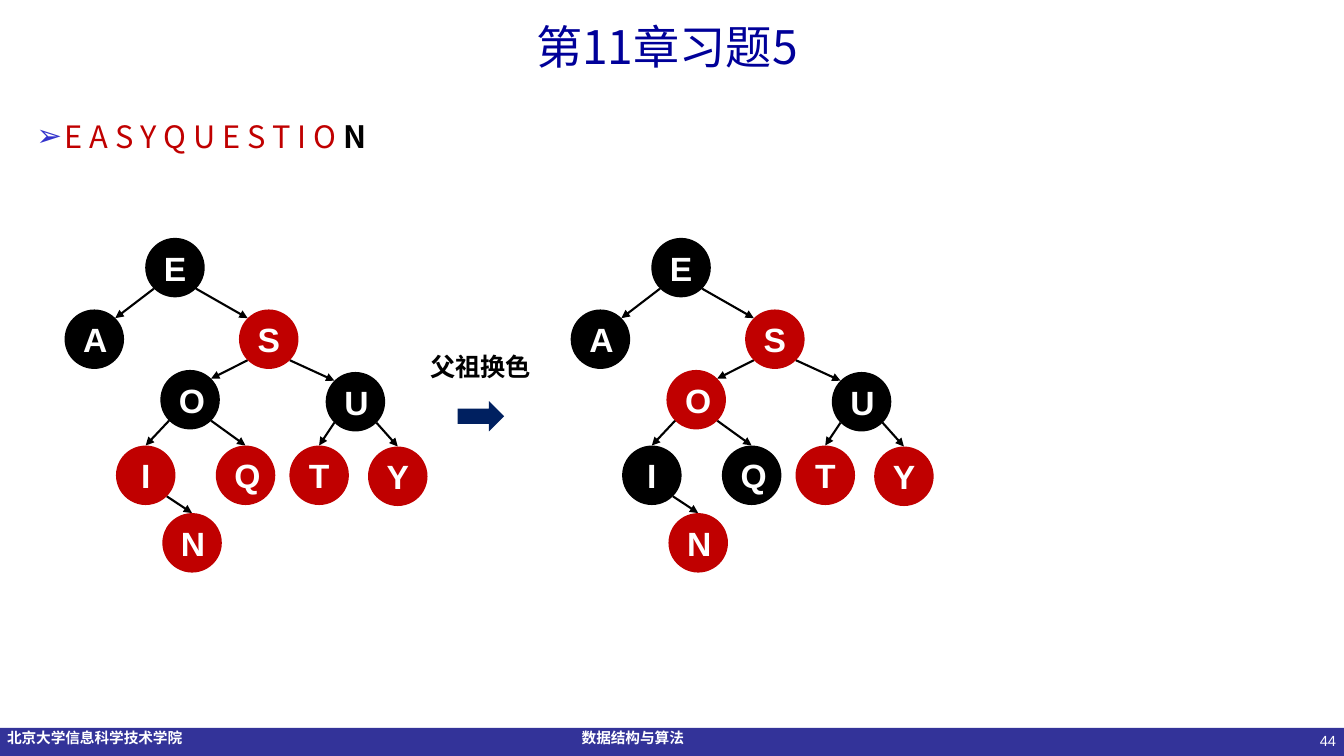
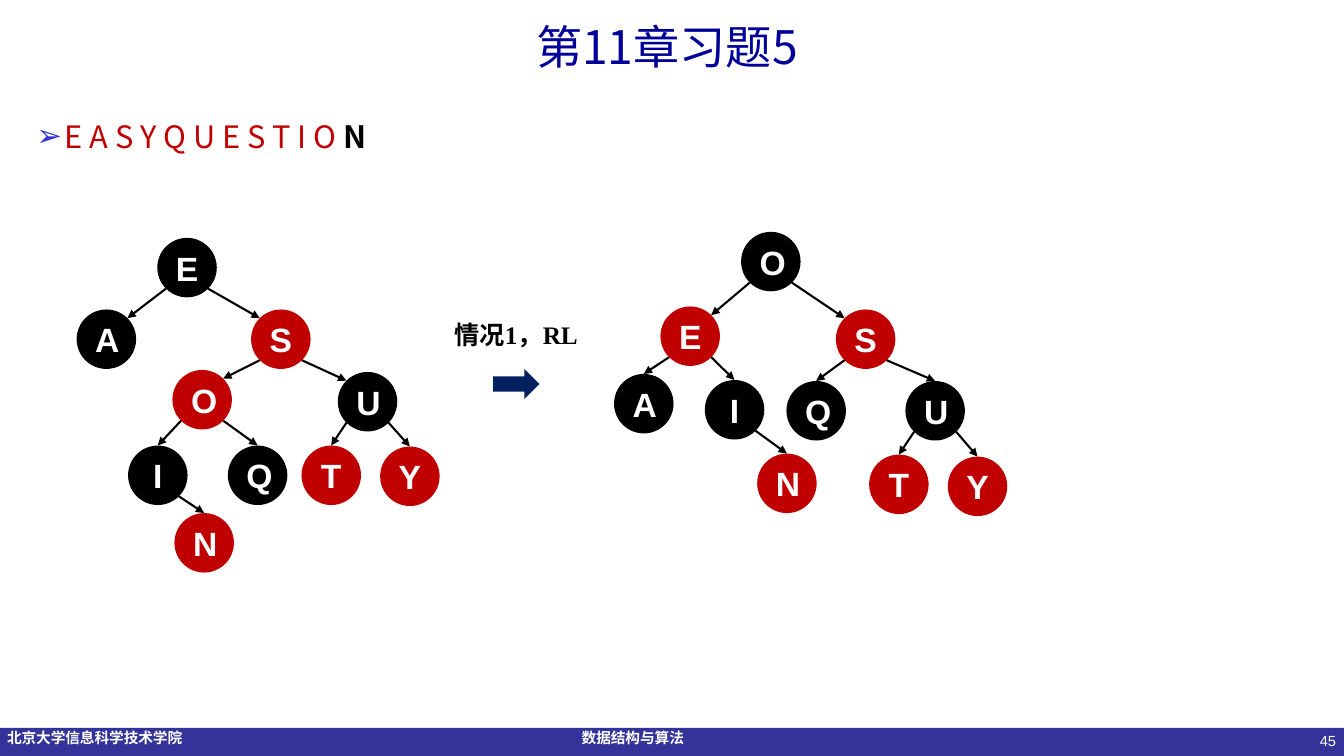
from dataclasses import dataclass
from math import sqrt

from pptx import Presentation
from pptx.dml.color import RGBColor
from pptx.enum.shapes import MSO_CONNECTOR, MSO_SHAPE
from pptx.enum.text import MSO_ANCHOR, MSO_AUTO_SIZE, PP_ALIGN
from pptx.oxml.ns import qn
from pptx.oxml.xmlchemy import OxmlElement
from pptx.util import Inches, Pt


@dataclass(frozen=True)
class Theme:
    # Colours
    title: str = "000099"
    band: str = "333399"
    bullet: str = "3333CC"
    red: str = "C00000"
    black: str = "000000"
    white: str = "FFFFFF"
    arrow: str = "002060"
    # Fonts
    sans: str = "Arial"
    serif: str = "Times New Roman"
    cjk: str = "Noto Sans CJK SC"
    # Type sizes
    head: float = 33
    list: float = 22
    node: float = 24
    label: float = 18
    foot: float = 10.5


THEME = Theme()
WIDE, HIGH = 13.33, 7.5
NODE = 0.59

# Trees: node places relative to the tree's box, then edges by parent and child.
# Corner edges end at the child's upper side, top edges at its highest point.
DEEP = dict(
    spots=dict(E=(0.8, 0), A=(0, 0.71), S=(1.73, 0.71), O=(0.95, 1.31),
               U=(2.59, 1.33), I=(0.51, 2.06), Q=(1.5, 2.06),
               T=(2.23, 2.06), Y=(3.01, 2.07), N=(0.97, 2.73)),
    corner="EA ES SO SU", top="OI OQ UT UY IN")
FLAT = dict(
    spots=dict(O=(1.26, 0), E=(0.46, 0.74), S=(2.2, 0.77), A=(0, 1.41),
               I=(0.9, 1.47), Q=(1.71, 1.48), U=(2.89, 1.48),
               N=(1.42, 2.2), T=(2.53, 2.21), Y=(3.31, 2.23)),
    corner="OE OS", top="EA EI SQ SU IN UT UY")


def rgb(code):
    return RGBColor.from_string(code)


def write(frame, text, size, color, font=THEME.sans, bold=False, align=None):
    """Add a run to the first paragraph of a text frame."""
    par = frame.paragraphs[0]
    if align is not None:
        par.alignment = align
    run = par.add_run()
    run.text = text
    run.font.size, run.font.bold, run.font.name = Pt(size), bold, font
    run.font.color.rgb = rgb(color)
    east = OxmlElement("a:ea")
    east.set("typeface", THEME.cjk)
    run.font._element.find(qn("a:latin")).addnext(east)


def place(shape, left, top, width, height):
    shape.left, shape.top = Inches(left), Inches(top)
    shape.width, shape.height = Inches(width), Inches(height)


def note(slide, text, box, wrap=True, inset=0.1, **style):
    shape = slide.shapes.add_textbox(*map(Inches, box))
    shape.text_frame.word_wrap = wrap
    shape.text_frame.margin_left = Inches(inset)
    write(shape.text_frame, text, **style)
    return shape


def solid(slide, kind, box, color):
    shape = slide.shapes.add_shape(kind, *map(Inches, box))
    shape.shadow.inherit = False
    shape.fill.solid()
    shape.fill.fore_color.rgb = rgb(color)
    shape.line.fill.background()
    return shape


def link(slide, start, end):
    line = slide.shapes.add_connector(
        MSO_CONNECTOR.STRAIGHT, *map(Inches, start + end))
    line.line.color.rgb = rgb(THEME.black)
    line.line.width = Pt(1.5)
    props = line._element.spPr
    tail = OxmlElement("a:tailEnd")
    tail.set("type", "triangle")
    props.find(qn("a:ln")).append(tail)
    props.append(OxmlElement("a:effectLst"))


def tree(slide, left, top, plan, reds):
    """Draw a red-black tree with its box's upper left corner at left, top."""
    half = NODE / 2
    slant = half / sqrt(2)
    mids = {key: (left + x + half, top + y + half)
            for key, (x, y) in plan["spots"].items()}
    # Edges
    for kind in ("corner", "top"):
        for head, kid in plan[kind].split():
            (px, py), (kx, ky) = mids[head], mids[kid]
            side = slant if kx > px else -slant
            end = (kx - side, ky - slant) if kind == "corner" else (kx, ky - half)
            link(slide, (px + side, py + slant), end)
    # Nodes
    for key, (x, y) in mids.items():
        color = THEME.red if key in reds else THEME.black
        disc = solid(slide, MSO_SHAPE.OVAL, (x - half, y - half, NODE, NODE), color)
        disc.text_frame.vertical_anchor = MSO_ANCHOR.MIDDLE
        write(disc.text_frame, key, size=THEME.node, color=THEME.white,
              bold=True, align=PP_ALIGN.CENTER)


def step(slide, text, box, arrow):
    """Label the change between two trees and point to the result."""
    solid(slide, MSO_SHAPE.RIGHT_ARROW, (*arrow, 0.46, 0.3), THEME.arrow)
    note(slide, text, box, size=THEME.label, color=THEME.black,
         font=THEME.serif, bold=True)


def setup(deck):
    """Put the shared places and the bottom band on the layout."""
    layout = deck.slide_layouts[1]
    place(layout.placeholders[0], 0, 0, WIDE, 0.91)
    place(layout.placeholders[1], 0.26, 0.99, 12.81, 0.6)
    draft = deck.slides.add_slide(layout)
    style = dict(size=THEME.foot, color=THEME.white, bold=True, wrap=False, inset=0)
    parts = [
        solid(draft, MSO_SHAPE.RECTANGLE, (0, 7.22, WIDE, 0.28), THEME.band),
        note(draft, "北京大学信息科学技术学院", (0.07, 7.18, 1.87, 0.28), **style),
        note(draft, "数据结构与算法", (5.77, 7.18, 1.13, 0.28), **style),
    ]
    for part in parts:
        layout.shapes._spTree.append(part._element)
    # The draft becomes the first slide
    return layout, draft


def frame(slide, page):
    """Fill in title, key list and page number."""
    title = slide.shapes.title.text_frame
    title.auto_size = MSO_AUTO_SIZE.NONE
    title.vertical_anchor = MSO_ANCHOR.MIDDLE
    title.margin_left, title.margin_right = Inches(0.2), Inches(0.3)
    write(title, "第11章习题5", size=THEME.head, color=THEME.title,
          font=THEME.cjk, align=PP_ALIGN.CENTER)

    # Keys inserted so far, the newest in bold
    body = slide.placeholders[1].text_frame
    body.auto_size = MSO_AUTO_SIZE.NONE
    style = dict(size=THEME.list, font=THEME.cjk)
    write(body, "E A S Y Q U E S T I O ", color=THEME.red,
          align=PP_ALIGN.LEFT, **style)
    write(body, "N", color=THEME.black, bold=True, **style)
    par = body.paragraphs[0]
    par.line_spacing, par.space_before = 1.35, Pt(4.4)
    props = par._p.get_or_add_pPr()
    props.set("marL", str(Inches(0.28)))
    props.set("indent", str(Inches(-0.28)))
    tint = OxmlElement("a:buClr")
    fill = OxmlElement("a:srgbClr")
    fill.set("val", THEME.bullet)
    tint.append(fill)
    mark = OxmlElement("a:buChar")
    mark.set("char", "➢")
    props.extend([tint, mark])

    note(slide, str(page), (10.24, 7.21, 3.11, 0.52), size=THEME.foot,
         color=THEME.white, align=PP_ALIGN.RIGHT)


def main():
    deck = Presentation()
    deck.slide_width, deck.slide_height = Inches(WIDE), Inches(HIGH)
    layout, first = setup(deck)

    # Recolouring
    frame(first, 44)
    tree(first, 0.64, 2.36, DEEP, reds="SIQTYN")
    tree(first, 5.66, 2.36, DEEP, reds="SOTYN")
    step(first, "父祖换色", (4.17, 3.44, 1.34, 0.4), (4.54, 3.98))

    # Rotation
    second = deck.slides.add_slide(layout)
    frame(second, 45)
    tree(second, 0.76, 2.36, DEEP, reds="SOTYN")
    tree(second, 6.09, 2.3, FLAT, reds="ESTYN")
    step(second, "情况1，RL", (4.41, 3.12, 1.43, 0.4), (4.89, 3.66))

    deck.save("out.pptx")


if __name__ == "__main__":
    main()
